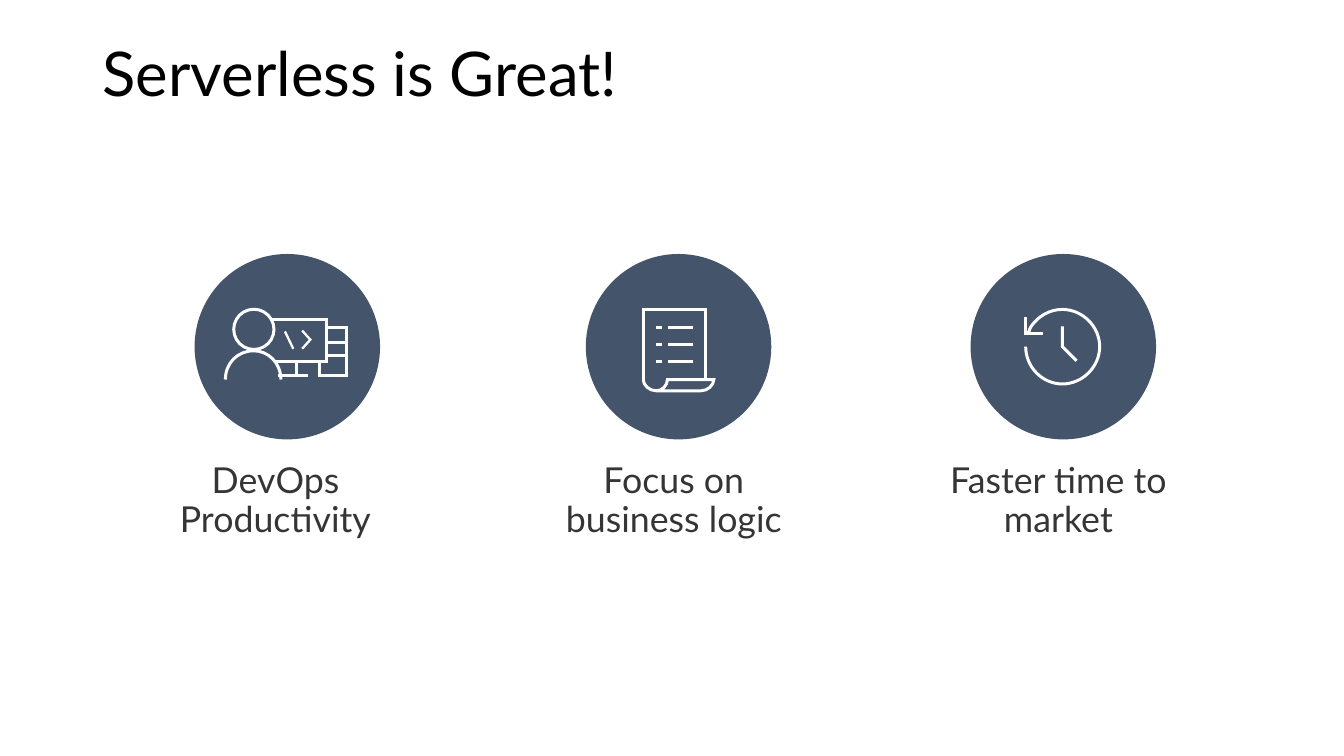
from dataclasses import dataclass
from pptx import Presentation
from pptx.dml.color import RGBColor as RGB
from pptx.enum.shapes import MSO_CONNECTOR as CONN, MSO_SHAPE as SHAPE
from pptx.enum.text import MSO_ANCHOR as ANCHOR, PP_ALIGN as ALIGN
from pptx.oxml.ns import qn
from pptx.util import Inches, Pt
from lxml.etree import SubElement


@dataclass(frozen=True)
class Theme:
    font: str = "Lato"
    title: RGB = RGB(0, 0, 0)
    label: RGB = RGB(0x35, 0x35, 0x35)
    disc: RGB = RGB(0x44, 0x54, 0x6A)
    stroke: RGB = RGB(0xFF, 0xFF, 0xFF)
    title_size: float = 44
    label_size: float = 25.5
    thick: float = 2.13
    thin: float = 1.63


T = Theme()
prs = Presentation()
prs.slide_width, prs.slide_height = Inches(13.33), Inches(7.5)
COL, ROW = prs.slide_width / 100, prs.slide_height / 100


def grid(x, y, w, h):
    return round(x * COL), round(y * ROW), round(w * COL), round(h * ROW)


def add_text(s, box, text, size, color, align=ALIGN.LEFT, insets=(0.1, 0.05, 0.1, 0.05), after=0):
    tf = s.shapes.add_textbox(*box).text_frame
    tf.word_wrap = True
    tf.vertical_anchor = ANCHOR.TOP
    tf.margin_left, tf.margin_top, tf.margin_right, tf.margin_bottom = map(Inches, insets)
    p = tf.paragraphs[0]
    p.alignment, p.line_spacing, p.space_after = align, 0.9, Pt(after)
    r = p.add_run()
    r.text = text
    r.font.name, r.font.size, r.font.color.rgb = T.font, Pt(size), color


def bend(sp, segments):
    steps = iter(list(sp._element.iter(qn("a:lnTo"))))
    for seg in segments:
        first = next(steps)
        if len(seg) == 6:
            first.tag = qn("a:cubicBezTo")
            for step in (next(steps), next(steps)):
                first.append(step[0])
                step.getparent().remove(step)


class Icon:
    def __init__(self, s, x, y, size):
        self.shapes = s.shapes.add_group_shape().shapes
        self.x, self.y, self.unit = x, y, size / 100
        disc = self.oval(0, 0, 100)
        disc.fill.solid()
        disc.fill.fore_color.rgb = T.disc
        disc.line.fill.background()

    def at(self, point):
        return round(self.x + point[0] * self.unit), round(self.y + point[1] * self.unit)

    def oval(self, x, y, size):
        d = round(size * self.unit)
        sp = self.shapes.add_shape(SHAPE.OVAL, *self.at((x, y)), d, d)
        sp.shadow.inherit = False
        return sp

    def ink(self, sp, width):
        sp.line.color.rgb, sp.line.width = T.stroke, Pt(width)

    def ring(self, x, y, size):
        sp = self.oval(x, y, size)
        sp.fill.background()
        self.ink(sp, T.thick)

    def line(self, a, b, width=T.thick):
        cx = self.shapes.add_connector(CONN.STRAIGHT, *self.at(a), *self.at(b))
        self.ink(cx, width)
        SubElement(cx._element.spPr, qn("a:effectLst"))

    def outline(self, start, *segments, width=T.thick):
        points = [self.at(p) for seg in segments for p in zip(seg[::2], seg[1::2])]
        fb = self.shapes.build_freeform(*self.at(start))
        fb.add_line_segments(points, close=False)
        sp = fb.convert_to_shape()
        bend(sp, segments)
        sp.shadow.inherit = False
        sp.fill.background()
        self.ink(sp, width)
        SubElement(sp._element.spPr.find(qn("a:ln")), qn("a:miter"), lim="800000")


def developer(icon):
    icon.ring(21.1, 29.8, 21.7)
    icon.outline((46.5, 67.7), (46.5, 58.7, 39.7, 52.2, 31.9, 52.2),
                 (23.4, 52.2, 16.6, 58.7, 16.6, 67.7))
    icon.outline((43.4, 57.7), (71.1, 57.7), (71.1, 35.3), (40.8, 35.3))
    icon.line((54.8, 65.6), (54.8, 57.7))
    icon.outline((71.1, 39.7), (82, 39.7), (82, 65.6), (67.3, 65.6), (67.3, 57.7))
    icon.line((61.4, 65.6), (45.1, 65.6))
    for y in (47.8, 54.9):
        icon.line((82, y), (71.1, y))
    icon.line((48.7, 41.8), (53.2, 51.1), T.thin)
    icon.outline((58, 41.3), (62.4, 46.2), (58, 51.1), width=T.thin)


def scroll(icon):
    icon.outline((31, 67.8), (31, 70.7, 34.2, 73.8, 38, 73.8),
                 (41.3, 73.8, 44, 70.7, 44, 67.8),
                 (69, 67.8, 69, 67.8, 69, 67.8),
                 (69, 70.7, 65.8, 73.8, 62, 73.8),
                 (38, 73.8, 38, 73.8, 38, 73.8))
    icon.outline((31, 67.8), (31, 29.9), (64.5, 29.9), (64.5, 67.8))
    for left, right in ((44.5, 57.6), (38, 41.2)):
        for y in (39.6, 48.6, 58):
            icon.line((left, y), (right, y))


def clock(icon):
    icon.outline((31, 42.4), (31, 42.4, 31.5, 42.4, 31.5, 41.8),
                 (31.5, 40.8, 32.1, 40.2, 32.6, 39.1),
                 (36.4, 33.7, 42.4, 29.9, 49.5, 29.9),
                 (60.3, 29.9, 69.6, 39.1, 69.6, 50),
                 (69.6, 60.9, 60.3, 70.1, 49.5, 70.1),
                 (38.6, 70.1, 29.7, 60.9, 29.7, 50))
    icon.outline((49.5, 39.1), (49.5, 50), (57.1, 57.6))
    icon.outline((39.1, 43.1), (29.7, 43.1), (29.7, 34.1))


def feature(s, box, disc_offset, label, draw):
    x, y, w, h = box
    draw(Icon(s, x + round(disc_offset * COL), y, round(13.8 * COL)))
    top = round(0.63 * h)
    add_text(s, (x, y + top, w, h - top), label, T.label_size, T.label,
             align=ALIGN.CENTER, insets=(0.1, 0.16, 0.2, 0.16), after=12)


def benefits_slide(title, features):
    s = prs.slides.add_slide(prs.slide_layouts[6])
    add_text(s, grid(6.88, 5.07, 86.27, 19.33), title, T.title_size, T.title)
    for left, width, disc_offset, label, draw in features:
        feature(s, grid(left, 33.6, width, 40.5), disc_offset, label, draw)


benefits_slide("Serverless is Great!", [
    (10.3, 21.16, 4.18, "DevOps Productivity", developer),
    (39.57, 21.91, 4.02, "Focus on business logic", scroll),
    (69.04, 20.18, 3.18, "Faster time to market", clock),
])
prs.save("out.pptx")
